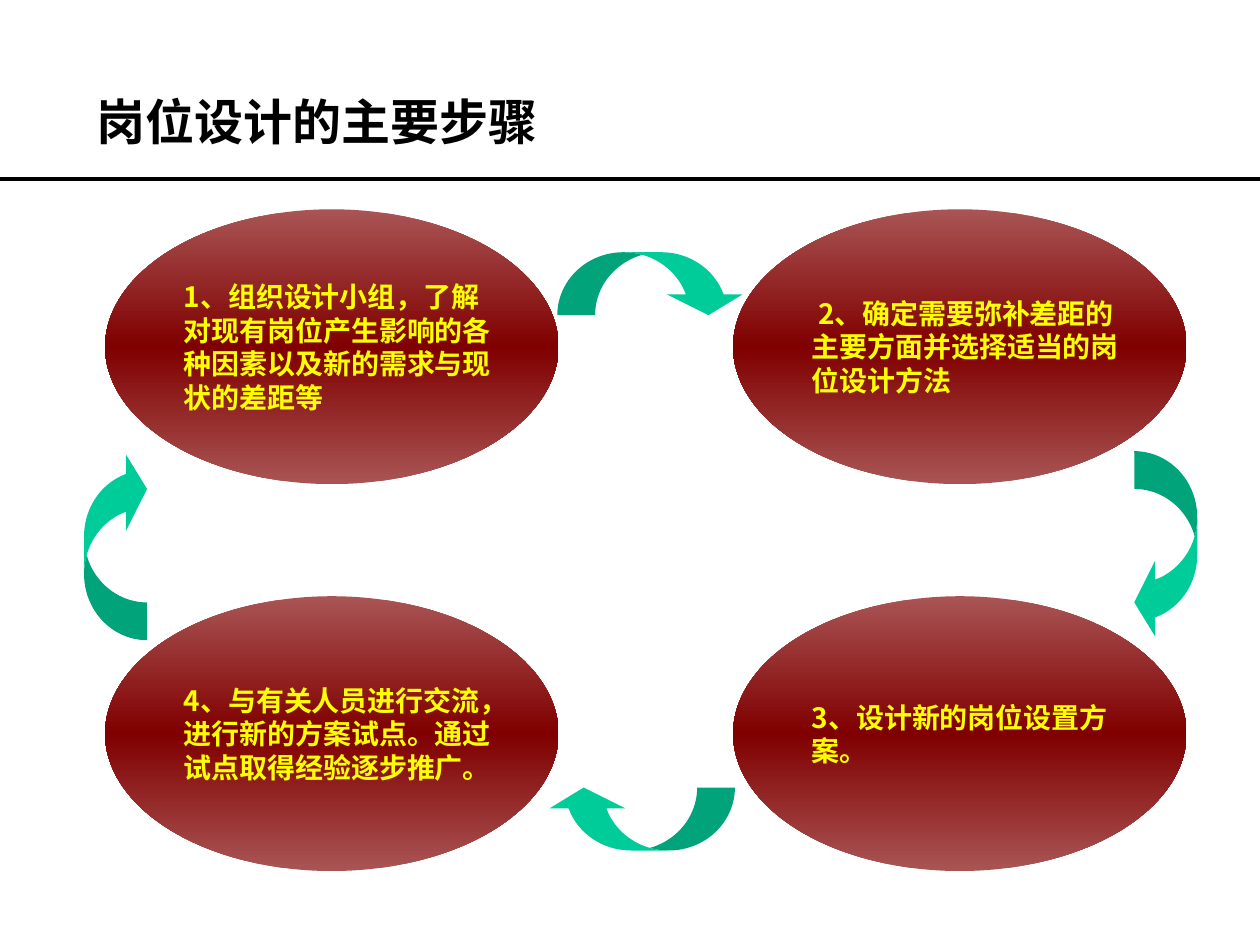
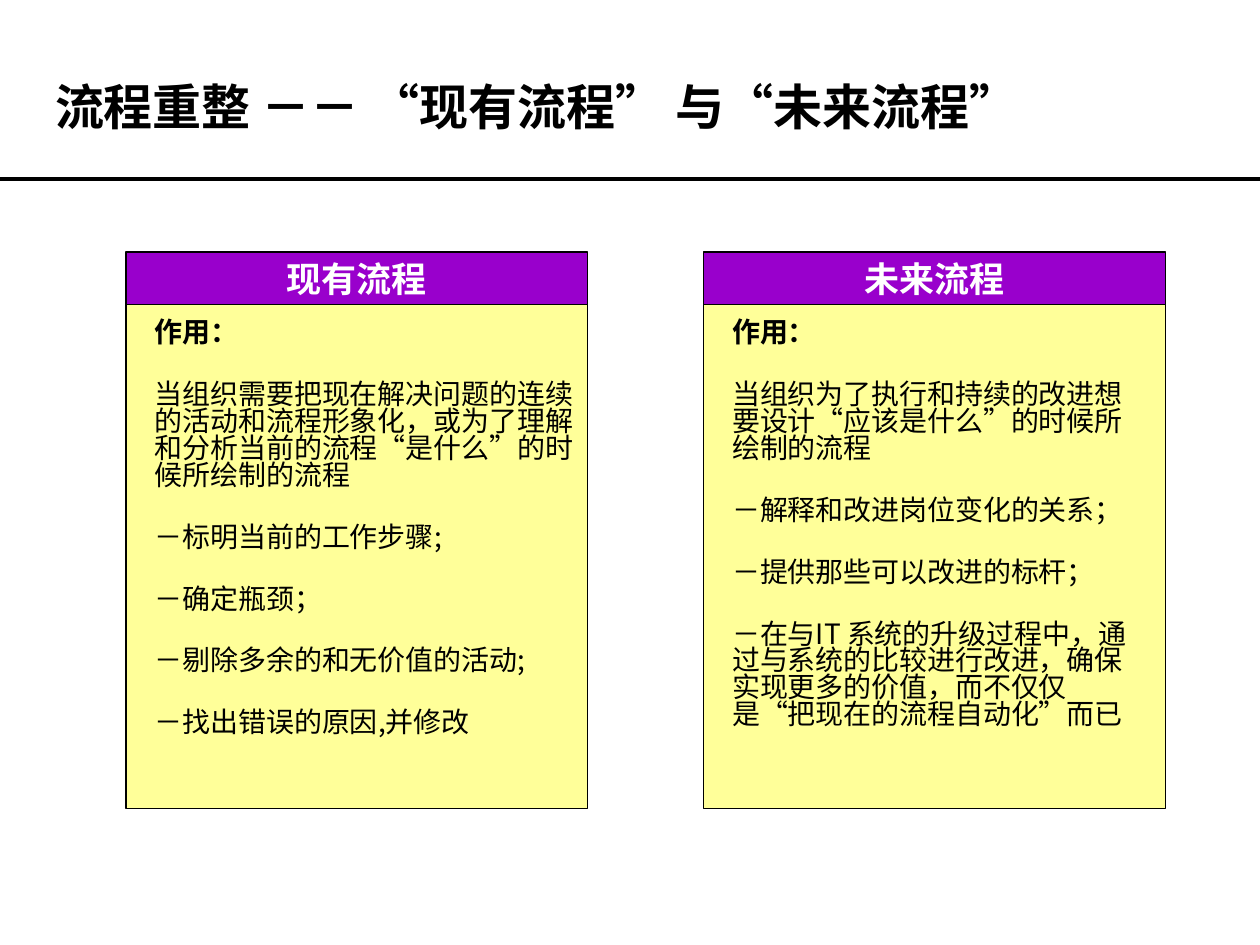
from copy import deepcopy
from dataclasses import dataclass
from lxml.etree import SubElement
from pptx import Presentation
from pptx.dml.color import RGBColor
from pptx.enum.shapes import MSO_CONNECTOR, MSO_SHAPE
from pptx.enum.text import MSO_ANCHOR, PP_ALIGN
from pptx.oxml.ns import qn
from pptx.util import Cm, Pt


@dataclass(frozen=True)
class Theme:
    font: str = "Noto Sans CJK SC"
    black: RGBColor = RGBColor(0x00, 0x00, 0x00)
    white: RGBColor = RGBColor(0xFF, 0xFF, 0xFF)
    yellow: RGBColor = RGBColor(0xFF, 0xFF, 0x00)
    maroon: RGBColor = RGBColor(0x80, 0x00, 0x00)
    rose: RGBColor = RGBColor(0xA9, 0x54, 0x54)
    green: RGBColor = RGBColor(0x00, 0xCC, 0x99)
    purple: RGBColor = RGBColor(0x99, 0x00, 0xCC)
    cream: RGBColor = RGBColor(0xFF, 0xFF, 0x99)
    title_size: Pt = Pt(28)
    header_size: Pt = Pt(20)
    body_size: Pt = Pt(16)


theme = Theme()


def write(shape, texts, size, color, align=PP_ALIGN.LEFT, wrap=True, spacing=None, gap=0):
    frame = shape.text_frame
    frame.word_wrap = wrap
    frame.text = "\n".join(texts)
    for index, para in enumerate(frame.paragraphs):
        para.alignment = align
        if spacing:
            para.line_spacing = spacing
        if index and gap:
            para.space_before = Pt(gap)
        para.font.name = theme.font
        para.font.size = size
        para.font.bold = index == 0
        para.font.color.rgb = color
        properties = para._p.pPr.find(qn("a:defRPr"))
        SubElement(properties, qn("a:ea")).set("typeface", theme.font)


def add_titled_page(title, left, top, width, height, spacing):
    page = deck.slides.add_slide(deck.slide_layouts[6])
    box = page.shapes.add_textbox(Cm(left), Cm(top), Cm(width), Cm(height))
    write(box, [title], theme.title_size, theme.black, spacing=spacing)
    rule = page.shapes.add_connector(MSO_CONNECTOR.STRAIGHT, 0, Cm(3.6), deck.slide_width, Cm(3.6))
    rule.line.color.rgb = theme.black
    rule.line.width = Pt(2.25)
    SubElement(rule._element.spPr, qn("a:effectLst"))
    return page


deck = Presentation()
deck.slide_width = Cm(25.4)
deck.slide_height = Cm(19.05)

page = add_titled_page("岗位设计的主要步骤", 1.7, 1.73, 20.96, 1.45, None)

left_column, right_column = 2.12, 14.78
top_row, bottom_row = 4.22, 12.02
steps = [
    (left_column, top_row, "1、组织设计小组，了解对现有岗位产生影响的各种因素以及新的需求与现状的差距等"),
    (right_column, top_row, " 2、确定需要弥补差距的主要方面并选择适当的岗位设计方法"),
    (right_column, bottom_row, "3、设计新的岗位设置方案。"),
    (left_column, bottom_row, "4、与有关人员进行交流，进行新的方案试点。通过试点取得经验逐步推广。"),
]
for left, top, text in steps:
    oval = page.shapes.add_shape(MSO_SHAPE.OVAL, Cm(left), Cm(top), Cm(9.14), Cm(5.54))
    oval.shadow.inherit = False
    oval.line.fill.background()
    oval.fill.gradient()
    oval.fill.gradient_angle = 90
    stop_list = oval._element.spPr.find(qn("a:gradFill")).find(qn("a:gsLst"))
    stop_list.insert(1, deepcopy(stop_list[0]))
    stop_colors = [theme.rose, theme.maroon, theme.rose]
    for stop, position, color in zip(oval.fill.gradient_stops, [0, 0.5, 1], stop_colors):
        stop.position = position
        stop.color.rgb = color
    oval.text_frame.margin_right = 0
    oval.text_frame.vertical_anchor = MSO_ANCHOR.MIDDLE
    write(oval, [text], theme.body_size, theme.yellow)

arrow_width, arrow_height = 3.81, 1.27
arrow_centers = [(13.14, 5.72), (23.5, 11), (12.91, 16.51), (2.33, 11)]
for turn, (center_x, center_y) in enumerate(arrow_centers):
    arrow = page.shapes.add_shape(
        MSO_SHAPE.CURVED_DOWN_ARROW,
        Cm(center_x - arrow_width / 2), Cm(center_y - arrow_height / 2),
        Cm(arrow_width), Cm(arrow_height),
    )
    arrow.rotation = 90 * turn
    for index, value in enumerate([0.6, 1.2, 0.33]):
        arrow.adjustments[index] = value
    arrow.shadow.inherit = False
    arrow.fill.solid()
    arrow.fill.fore_color.rgb = theme.green
    arrow.line.fill.background()

page = add_titled_page("流程重整 －－ “现有流程” 与“未来流程”", 0.86, 1.07, 23.62, 2.12, 1.3)

panels = [
    (2.54, 9.31, "现有流程", [
        "作用：",
        "当组织需要把现在解决问题的连续的活动和流程形象化，或为了理解和分析当前的流程“是什么”的时候所绘制的流程",
        "－标明当前的工作步骤;",
        "－确定瓶颈；",
        "－剔除多余的和无价值的活动;",
        "－找出错误的原因,并修改",
    ]),
    (14.18, 9.07, "未来流程", [
        "作用：",
        "当组织为了执行和持续的改进想要设计“应该是什么”的时候所绘制的流程",
        "－解释和改进岗位变化的关系；",
        "－提供那些可以改进的标杆；",
        "－在与IT 系统的升级过程中，通过与系统的比较进行改进，确保实现更多的价值，而不仅仅是“把现在的流程自动化”而已",
    ]),
]
for left, text_width, heading, points in panels:
    for top, height, color in [(6.14, 10.16, theme.cream), (5.08, 1.06, theme.purple)]:
        panel = page.shapes.add_shape(MSO_SHAPE.RECTANGLE, Cm(left), Cm(top), Cm(9.31), Cm(height))
        panel.shadow.inherit = False
        panel.fill.solid()
        panel.fill.fore_color.rgb = color
        panel.line.color.rgb = theme.black
        panel.line.width = Pt(0.75)
    panel.text_frame.vertical_anchor = MSO_ANCHOR.MIDDLE
    write(panel, [heading], theme.header_size, theme.white, PP_ALIGN.CENTER, wrap=False)
    box = page.shapes.add_textbox(Cm(left), Cm(6.35), Cm(text_width), Cm(9.53))
    box.text_frame.margin_left = Cm(0.58)
    write(box, points, theme.body_size, theme.black, spacing=0.8, gap=20)

deck.save("out.pptx")
